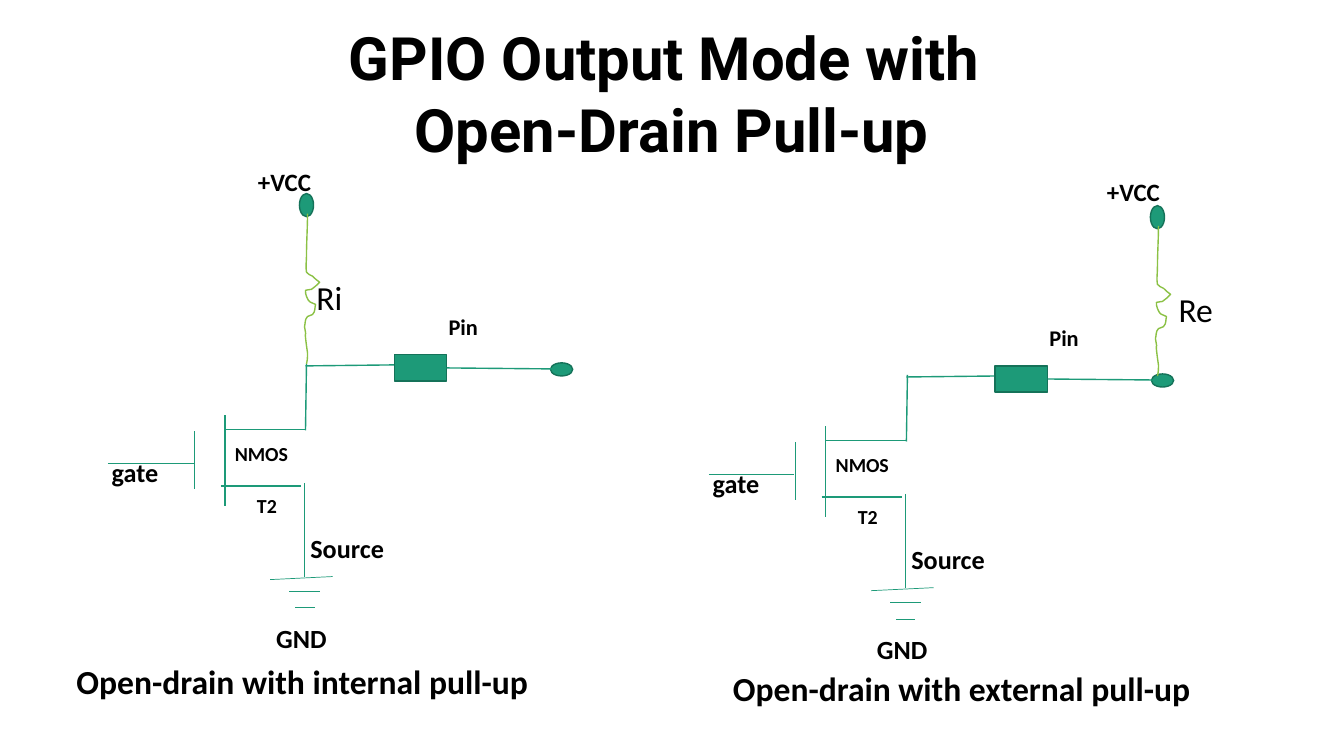
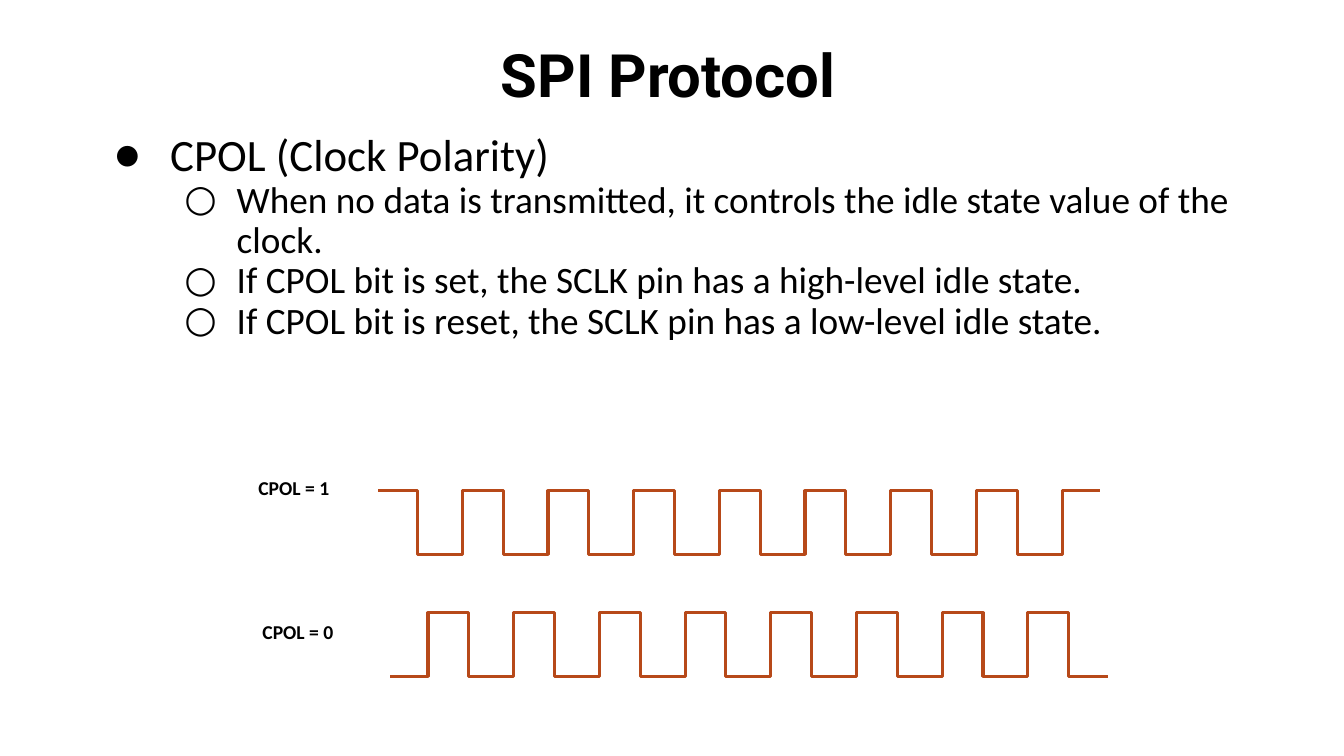
import lxml.etree
import pptx
import pptx.dml.color
import pptx.enum.shapes
import pptx.enum.text
import pptx.oxml.ns
import pptx.util

PX = 9144
BLACK = pptx.dml.color.RGBColor(0x00, 0x00, 0x00)
GREEN = pptx.dml.color.RGBColor(0x1D, 0x9A, 0x78)
EDGE = pptx.dml.color.RGBColor(0x15, 0x72, 0x59)
LIME = pptx.dml.color.RGBColor(0x8B, 0xC1, 0x45)
RUST = pptx.dml.color.RGBColor(0xB7, 0x49, 0x19)
HEAD = {"name": "Roboto", "size": pptx.util.Pt(42.65), "bold": True}
BOLD = {"name": "Calibri", "bold": True}
PLAIN = {"name": "Calibri", "bold": False}
KIND = pptx.enum.shapes.MSO_CONNECTOR
FORM = pptx.enum.shapes.MSO_SHAPE
MID = pptx.enum.text.PP_ALIGN.CENTER
qn = pptx.oxml.ns.qn


def write(slide, at, lines, font, size=None, align=None):
    box = slide.shapes.add_textbox(*[n * PX for n in at])
    frame = box.text_frame
    frame.word_wrap = True
    for num, line in enumerate(lines):
        para = frame.add_paragraph() if num else frame.paragraphs[0]
        para.alignment = align
        run = para.add_run()
        run.text = line
        run.font.color.rgb = BLACK
        for key, value in font.items():
            setattr(run.font, key, value)
        if size:
            run.font.size = pptx.util.Pt(size)
    return frame


def wire(slide, ends, color, width, kind=KIND.STRAIGHT):
    link = slide.shapes.add_connector(kind, *[n * PX for n in ends])
    link.line.color.rgb = color
    link.line.width = pptx.util.Pt(width)
    lxml.etree.SubElement(link.element.spPr, qn("a:effectLst"))
    return link


deck = pptx.Presentation()
deck.slide_width = 1333 * PX
deck.slide_height = 750 * PX
blank = deck.slide_layouts[6]

slide = deck.slides.add_slide(blank)
write(slide, (0, 16, 1333, 154),
      ["GPIO Output Mode with ", "Open-Drain Pull-up"], HEAD, align=MID)

WIRES = [
    (107, 460, 192, 460, 1), (193, 428, 193, 485, 1),
    (223, 412, 223, 502, 1), (223, 426, 303, 426, 1),
    (219, 482, 299, 482, 1), (304, 361, 303, 427, 1),
    (302, 479, 302, 572, 1), (268, 575, 330, 572, 0.5),
    (287, 587, 317, 587, 0.5), (293, 603, 312, 603, 0.5),
    (303, 363, 393, 362, 1),
]
LABELS = [
    ("NMOS", 223, 433, 95, 34, 14.2), ("Source", 298, 523, 148, 42, 18.7),
    ("Pin", 435, 306, 95, 37, 16), ("T2", 245, 485, 65, 34, 14.2),
    ("gate", 101, 448, 113, 42, 18.7), ("GND", 264, 612, 103, 42, 18.7),
]
START = (305, 212)
CURVES = [
    (305, 226, 304, 240, 304, 254), (304, 259, 303, 265, 304, 270),
    (305, 272, 308, 273, 310, 274), (312, 276, 314, 278, 317, 280),
    (314, 283, 312, 285, 309, 287), (307, 288, 304, 287, 303, 288),
    (302, 290, 304, 292, 304, 294), (307, 301, 307, 299, 313, 302),
    (312, 305, 313, 309, 310, 312), (309, 314, 306, 312, 305, 314),
    (302, 317, 303, 321, 302, 324), (305, 341, 301, 320, 304, 343),
    (304, 345, 305, 348, 305, 350), (305, 354, 305, 357, 304, 361),
]

HALVES = [
    (0, 0, 0, 0, (246, 160), "Ri", (304, 270),
     "Open-drain with internal pull-up", (66, 651, 539, 50)),
    (596, 11, 844, 12, (1088, 170), "Re", (1159, 282),
     "Open-drain with external pull-up", (717, 658, 549, 50)),
]
for dx, dy, rx, ry, top, name, spot, note, base in HALVES:
    for x1, y1, x2, y2, width in WIRES:
        wire(slide, (x1 + dx, y1 + dy, x2 + dx, y2 + dy), GREEN, width)
    solids = []
    for form, x, y, w, h in [
        (FORM.RECTANGLE, 391 + dx, 352 + dy, 52, 26),
        (FORM.OVAL, 546 + dx, 360 + dy, 22, 13),
        (FORM.OVAL, 297 + rx, 192 + ry, 14, 23),
    ]:
        solid = slide.shapes.add_shape(form, x * PX, y * PX, w * PX, h * PX)
        solid.shadow.inherit = False
        solid.fill.solid()
        solid.fill.fore_color.rgb = GREEN
        solid.line.color.rgb = EDGE
        solid.line.width = pptx.util.Pt(1)
        solids.append(solid)
    lead = wire(slide, (443 + dx, 365 + dy, 548 + dx, 366 + dy), GREEN, 1)
    lead.begin_connect(solids[0], 3)

    pen = slide.shapes.build_freeform(
        (START[0] + rx) * PX, (START[1] + ry) * PX)
    pen.add_line_segments(
        [((x + rx) * PX, (y + ry) * PX) for *_, x, y in CURVES], close=False)
    coil = pen.convert_to_shape()
    bends = list(coil.element.iter(qn("a:lnTo")))
    for bend, (ax, ay, bx, by, *_) in zip(bends, CURVES):
        bend.tag = qn("a:cubicBezTo")
        for num, (x, y) in enumerate([(ax, ay), (bx, by)]):
            knob = lxml.etree.Element(qn("a:pt"))
            knob.set("x", str((x + rx) * PX - coil.left))
            knob.set("y", str((y + ry) * PX - coil.top))
            bend.insert(num, knob)
    coil.shadow.inherit = False
    coil.fill.background()
    coil.line.color.rgb = LIME
    coil.line.width = pptx.util.Pt(1)

    for text, x, y, w, h, size in LABELS:
        write(slide, (x + dx, y + dy, w, h), [text], BOLD, size)
    write(slide, (*top, 133, 40), ["+VCC"], BOLD, 17.8)
    write(slide, (*spot, 65, 50), [name], PLAIN, 24)
    write(slide, base, [note], BOLD, 24)

slide = deck.slides.add_slide(blank)
frame = write(slide, (88, 34, 1150, 87), ["SPI Protocol"], HEAD, align=MID)
frame.vertical_anchor = pptx.enum.text.MSO_ANCHOR.MIDDLE
frame.paragraphs[0].line_spacing = 0.9

frame = write(slide, (92, 127, 1150, 291), [
    "CPOL (Clock Polarity)",
    "When no data is transmitted, it controls the idle state value of the clock.",
    "If CPOL bit is set, the SCLK pin has a high-level idle state.",
    "If CPOL bit is reset, the SCLK pin has a low-level idle state.",
], PLAIN)
for num, para in enumerate(frame.paragraphs):
    level, left, hang, mark, face, size = (
        (1, 133, 52, "○", "Roboto", 26.6) if num
        else (0, 67, 56, "●", "Calibri", 32))
    para.level = level
    para.line_spacing = 0.9
    props = para._p.get_or_add_pPr()
    props.set("marL", str(left * PX))
    props.set("indent", str(-hang * PX))
    lxml.etree.SubElement(props, qn("a:buFont")).set("typeface", face)
    lxml.etree.SubElement(props, qn("a:buChar")).set("char", mark)
    para.runs[0].font.size = pptx.util.Pt(size)

PITCH = 85
COUNT = 8
PADS = {"margin_left": 13 * PX, "margin_right": 13 * PX,
        "margin_top": 7 * PX, "margin_bottom": 7 * PX}
for text, x, y, fall, rise, high in [
    ("CPOL = 1", 217, 465, 375, 421, 487),
    ("CPOL = 0", 221, 608, 426, 387, 608),
]:
    low = high + 63
    for num in range(COUNT):
        shift = num * PITCH
        for begin, end in [(fall, fall + 78), (rise + 75, rise)]:
            wire(slide, (begin + shift, high, end + shift, low),
                 RUST, 2.25, KIND.ELBOW)
    frame = write(slide, (x, y, 149, 37), [text], BOLD, 14, MID)
    for key, value in PADS.items():
        setattr(frame, key, value)

deck.save("out.pptx")
